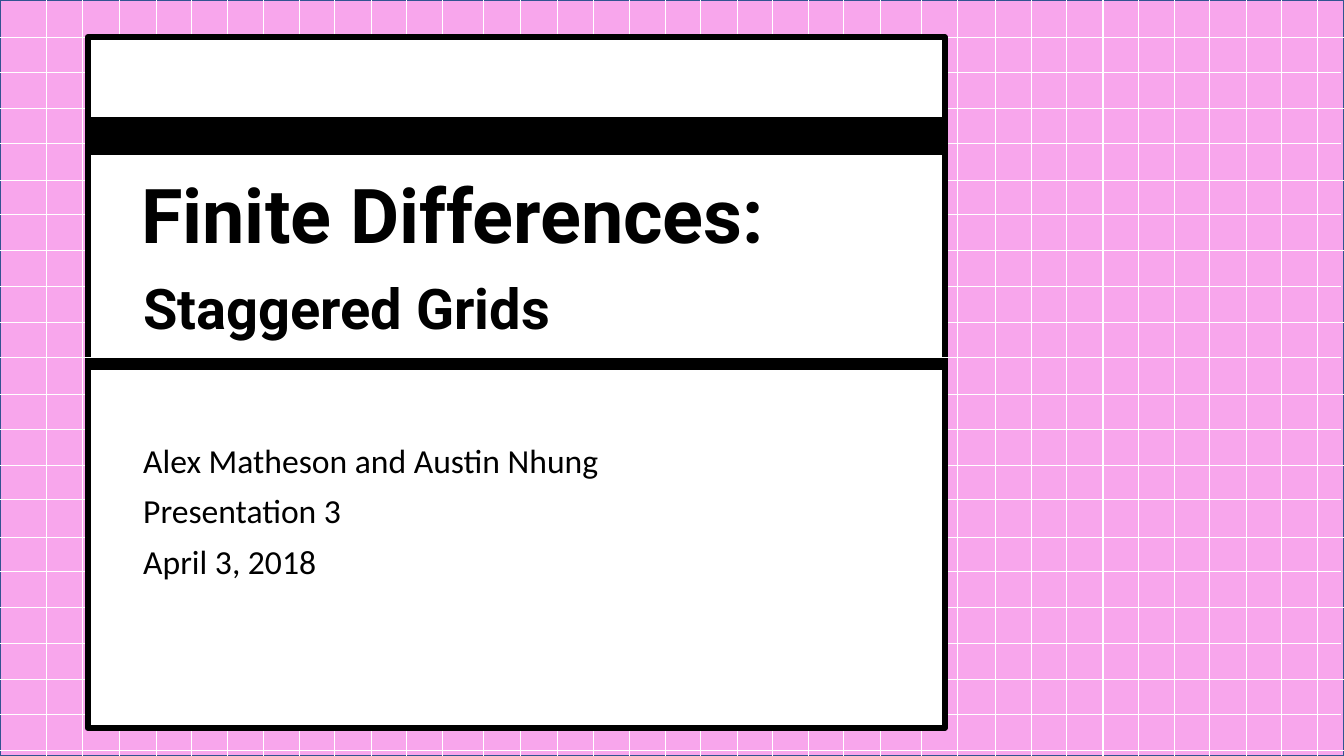
"""Build the title slide of a talk on finite differences with staggered grids."""
import pptx
import pptx.dml.color
import pptx.enum.shapes
import pptx.enum.text
import pptx.oxml
import pptx.oxml.ns
import pptx.util

EMU_PER_PX = 9144
SLIDE_WIDTH, SLIDE_HEIGHT = 1333, 750
PINK = pptx.dml.color.RGBColor(0xF8, 0xA6, 0xEC)
BLUE = pptx.dml.color.RGBColor(0x32, 0x54, 0x91)
WHITE = pptx.dml.color.RGBColor(0xFF, 0xFF, 0xFF)
BLACK = pptx.dml.color.RGBColor(0, 0, 0)
EFFECT_LIST = f'<a:effectLst {pptx.oxml.ns.nsdecls("a")}/>'
PANEL_LEFT, PANEL_WIDTH = 87, 850
CENTRE_ROW = 355


def px(length):
    return pptx.util.Emu(length * EMU_PER_PX)


def add_block(slide, left, top, width, height, fill, outline, outline_width):
    block = slide.shapes.add_shape(
        pptx.enum.shapes.MSO_SHAPE.RECTANGLE,
        px(left), px(top), px(width), px(height))
    block.shadow.inherit = False
    block.fill.solid()
    block.fill.fore_color.rgb = fill
    block.line.color.rgb = outline
    block.line.width = pptx.util.Pt(outline_width)


def add_grid_line(slide, x1, y1, x2, y2):
    grid_line = slide.shapes.add_connector(
        pptx.enum.shapes.MSO_CONNECTOR.STRAIGHT, px(x1), px(y1), px(x2), px(y2))
    grid_line.line.color.rgb = WHITE
    grid_line.line.width = pptx.util.Pt(0.75)
    grid_line.element.spPr.append(pptx.oxml.parse_xml(EFFECT_LIST))


def add_row(slide, y, right):
    add_grid_line(slide, right, y, right - 1340, y)


def add_grid(slide):
    column_offsets = [0, 36] + [73 + (71 * step + 1) // 2 for step in range(10)]
    for group_left in (46, 480, 914):
        for offset in column_offsets:
            x = group_left + offset
            if x < SLIDE_WIDTH:
                add_grid_line(slide, x, 0, x, SLIDE_HEIGHT)
    for step in range(11):
        add_row(slide, 37 + round(70.8 * step), 1333)
    for step in range(10):
        y = 72 + int(70.8 * step)
        if y != CENTRE_ROW:
            add_row(slide, y, 1330)


def place(slide, placeholder, left, top, width, height):
    placeholder.left, placeholder.top = px(left), px(top)
    placeholder.width, placeholder.height = px(width), px(height)
    slide.shapes.element.append(placeholder.element)


def write(shape, lines, font_name, size, bold=False, line_spacing=None, space_before=0):
    frame = shape.text_frame
    frame.word_wrap = True
    frame.auto_size = pptx.enum.text.MSO_AUTO_SIZE.NONE
    frame.text = "\n".join(lines)
    for paragraph in frame.paragraphs:
        paragraph.alignment = pptx.enum.text.PP_ALIGN.LEFT
        paragraph.line_spacing = line_spacing
        paragraph.space_before = pptx.util.Pt(space_before)
        paragraph.font.name = font_name
        paragraph.font.size = pptx.util.Pt(size)
        paragraph.font.bold = bold
        paragraph.font.color.rgb = BLACK
    return frame


def main():
    presentation = pptx.Presentation()
    presentation.slide_width = px(SLIDE_WIDTH)
    presentation.slide_height = px(SLIDE_HEIGHT)
    slide = presentation.slides.add_slide(presentation.slide_layouts[0])
    title, authors = slide.placeholders

    add_block(slide, 0, 0, SLIDE_WIDTH, SLIDE_HEIGHT, PINK, BLUE, 1)
    add_grid(slide)
    add_block(slide, PANEL_LEFT, 37, PANEL_WIDTH, 685, WHITE, BLACK, 4.5)
    add_block(slide, PANEL_LEFT, 117, PANEL_WIDTH, 36, BLACK, BLACK, 1)

    place(slide, title, 130, 186, 831, 164)
    title_frame = write(title, ["Finite Differences:"], "Roboto", 54, True, 0.9)
    title_frame.vertical_anchor = pptx.enum.text.MSO_ANCHOR.BOTTOM
    title_frame.margin_top = px(0)
    title_frame.margin_bottom = px(92)

    add_row(slide, CENTRE_ROW, 1330)
    add_block(slide, PANEL_LEFT, 356, PANEL_WIDTH, 10, BLACK, BLACK, 1)

    place(slide, authors, 132, 436, 490, 181)
    write(authors,
          ["Alex Matheson and Austin Nhung", "Presentation 3", "April 3, 2018"],
          "Calibri", 24, line_spacing=0.9, space_before=10)

    subtitle = slide.shapes.add_textbox(px(132), px(266), px(659), px(77))
    subtitle_frame = write(subtitle, ["Staggered Grids"], "Roboto", 40, True)
    subtitle_frame.auto_size = pptx.enum.text.MSO_AUTO_SIZE.SHAPE_TO_FIT_TEXT

    presentation.save("out.pptx")


if __name__ == "__main__":
    main()
